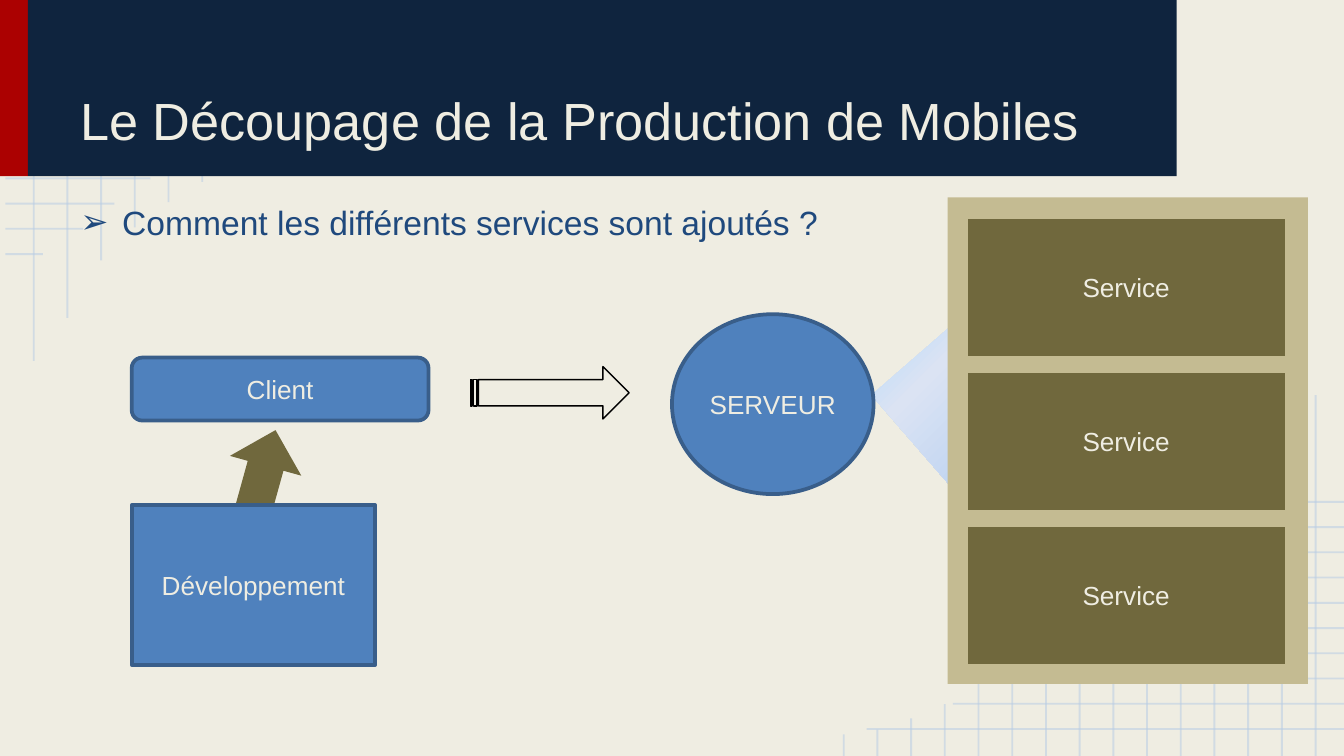
from dataclasses import dataclass

from lxml.etree import SubElement
from pptx import Presentation
from pptx.dml.color import RGBColor
from pptx.enum.shapes import MSO_CONNECTOR, MSO_SHAPE
from pptx.enum.text import MSO_ANCHOR, MSO_AUTO_SIZE, PP_ALIGN
from pptx.oxml.ns import qn
from pptx.util import Cm, Pt


@dataclass(frozen=True)
class Theme:
    """Colours, font and type sizes of the slide."""
    font: str = "Arial"
    title_size: float = 28
    body_size: float = 18
    label_size: float = 14
    cream: str = "EFEDE2"
    navy: str = "0F243E"
    red: str = "AB0101"
    ink: str = "1F497D"
    blue: str = "4F81BD"
    blue_edge: str = "395E8A"
    sand: str = "C4BB92"
    olive: str = "70683D"
    grid: str = "B7CCE4"
    black: str = "000000"
    beam: tuple = ((0, "AECCF1"), (67, "DBE3F3"), (79, "CEE0F6"), (100, "E7F1FA"))


THEME = Theme()
WIDTH, HEIGHT = 25.4, 14.29
BANNER_HEIGHT = 3.33
GRID_EDGE = 0.1
COLUMN_REACHES = (6.82, 6.01, 4.92, 4.3, 3.82, 3.44, 2.93, 2.55,
                  2.13, 1.84, 1.42, 0.98, 0.71, 0.5, 0.41)
ROW_REACHES = (9.12, 7.49, 6.12, 5.26, 4.24, 3.48, 2.84, 2.16, 1.57, 0.81)


def colour(value):
    """Turn a hexadecimal string into a colour."""
    return RGBColor.from_string(value)


def write_text(frame, text, size=THEME.label_size, color=THEME.cream,
               align=PP_ALIGN.CENTER, anchor=MSO_ANCHOR.MIDDLE,
               insets=(0.25, 0.13), bullet=None, indent=0.79):
    """Write one formatted paragraph into a text frame."""
    frame.word_wrap = True
    frame.auto_size = MSO_AUTO_SIZE.NONE
    frame.vertical_anchor = anchor
    frame.margin_left = frame.margin_right = Cm(insets[0])
    frame.margin_top = frame.margin_bottom = Cm(insets[1])
    frame.text = text
    paragraph = frame.paragraphs[0]
    paragraph.alignment = align
    paragraph.space_before = Pt(0)
    if bullet:
        add_bullet(paragraph, bullet, color, indent)
    font = paragraph.runs[0].font
    font.name = THEME.font
    font.size = Pt(size)
    font.color.rgb = colour(color)


def add_bullet(paragraph, character, color, indent):
    """Give a paragraph a coloured bullet and a hanging indent."""
    properties = paragraph._p.get_or_add_pPr()
    properties.set("marL", str(Cm(indent)))
    properties.set("indent", str(-Cm(indent)))
    bullet_color = SubElement(properties, qn("a:buClr"))
    SubElement(bullet_color, qn("a:srgbClr"), val=color)
    SubElement(properties, qn("a:buFont"), typeface=THEME.font)
    SubElement(properties, qn("a:buChar"), char=character)


def add_figure(slide, kind, box, fill, edge=None, edge_width=2, rotation=0,
               text=None, **text_format):
    """Add a preset shape with its fill, outline and label."""
    shape = slide.shapes.add_shape(kind, *map(Cm, box))
    shape.shadow.inherit = False
    shape.rotation = rotation
    shape.fill.solid()
    shape.fill.fore_color.rgb = colour(fill)
    if edge:
        shape.line.color.rgb = colour(edge)
        shape.line.width = Pt(edge_width)
    else:
        shape.line.fill.background()
    if text:
        write_text(shape.text_frame, text, **text_format)
    return shape


def add_beam(slide):
    """Add the triangle of light that joins the server to its services."""
    shape = add_figure(slide, MSO_SHAPE.RIGHT_TRIANGLE, (16.89, 6.55, 2.41, 2.21),
                       THEME.beam[0][1], rotation=49)
    properties = shape._element.spPr
    gradient = SubElement(properties, qn("a:gradFill"), rotWithShape="1")
    stops = SubElement(gradient, qn("a:gsLst"))
    for position, value in THEME.beam:
        stop = SubElement(stops, qn("a:gs"), pos=str(position * 1000))
        SubElement(stop, qn("a:srgbClr"), val=value)
    circle = SubElement(gradient, qn("a:path"))
    circle.set("path", "circle")
    SubElement(circle, qn("a:fillToRect"), l="100000", t="100000")
    properties.replace(properties.find(qn("a:solidFill")), gradient)


def add_grid_line(slide, start, end):
    """Add one translucent line of the background grid."""
    line = slide.shapes.add_connector(MSO_CONNECTOR.STRAIGHT, *map(Cm, start + end))
    line.line.color.rgb = colour(THEME.grid)
    line.line.width = Pt(1)
    properties = line._element.spPr
    value = properties.find(".//" + qn("a:srgbClr"))
    SubElement(value, qn("a:alpha"), val="53000")
    SubElement(properties, qn("a:effectLst"))


def add_grids(slide):
    """Add the top grid below the banner and its half-turn at the bottom."""
    rows = [((GRID_EDGE, 0.51 + 0.477 * index), (reach, 0.51 + 0.477 * index))
            for index, reach in enumerate(ROW_REACHES)]
    columns = [((0.637 * index, reach), (0.637 * index, 0))
               for index, reach in enumerate(COLUMN_REACHES, 1)]
    for start, end in rows + columns:
        if start[1] > BANNER_HEIGHT:
            add_grid_line(slide, start, end)
        add_grid_line(slide, *((WIDTH + GRID_EDGE - x, HEIGHT - y)
                               for x, y in (start, end)))


def add_banner(slide):
    """Add the red and navy bands behind the title."""
    add_figure(slide, MSO_SHAPE.RECTANGLE, (0, 0, 0.53, BANNER_HEIGHT), THEME.red)
    add_figure(slide, MSO_SHAPE.RECTANGLE, (0.53, 0, 21.71, BANNER_HEIGHT), THEME.navy)


def fill_placeholder(slide, placeholder, box, text, **text_format):
    """Place a placeholder above the decoration and fill it."""
    placeholder.left, placeholder.top, placeholder.width, placeholder.height = map(Cm, box)
    slide.shapes._spTree.append(placeholder._element)
    write_text(placeholder.text_frame, text, align=PP_ALIGN.LEFT,
               insets=(0.25, 0.25), **text_format)


def add_services(slide, count=3):
    """Add the panel and its column of services."""
    add_figure(slide, MSO_SHAPE.RECTANGLE, (17.91, 3.73, 6.81, 9.2), THEME.sand)
    for index in range(count):
        add_figure(slide, MSO_SHAPE.FLOWCHART_PREDEFINED_PROCESS,
                   (18.29, 4.14 + 2.91 * index, 5.99, 2.59), THEME.olive, text="Service")


def main():
    """Build the slide and save it."""
    presentation = Presentation()
    presentation.slide_width, presentation.slide_height = Cm(WIDTH), Cm(HEIGHT)
    slide = presentation.slides.add_slide(presentation.slide_layouts[1])
    slide.background.fill.solid()
    slide.background.fill.fore_color.rgb = colour(THEME.cream)
    title, body = slide.placeholders

    add_grids(slide)
    add_banner(slide)
    add_beam(slide)
    fill_placeholder(slide, title, (1.27, 0.28, 20.32, 2.82),
                     "Le Découpage de la Production de Mobiles",
                     size=THEME.title_size, anchor=MSO_ANCHOR.BOTTOM)
    fill_placeholder(slide, body, (1.27, 3.56, 22.86, 10.08),
                     "Comment les différents services sont ajoutés ?",
                     size=THEME.body_size, color=THEME.ink,
                     anchor=MSO_ANCHOR.TOP, bullet="➢")
    add_figure(slide, MSO_SHAPE.ROUNDED_RECTANGLE, (2.49, 6.76, 5.61, 1.19),
               THEME.blue, THEME.blue_edge, text="Client")
    add_figure(slide, MSO_SHAPE.STRIPED_RIGHT_ARROW, (8.89, 6.93, 3, 0.99),
               THEME.cream, THEME.black, edge_width=0.75)
    add_figure(slide, MSO_SHAPE.OVAL, (12.7, 5.94, 3.81, 3.4),
               THEME.blue, THEME.blue_edge, text="SERVEUR", insets=(0, 0))
    add_services(slide)
    add_figure(slide, MSO_SHAPE.UP_ARROW, (4.29, 8.1, 1.4, 1.63),
               THEME.olive, rotation=15.5)
    add_figure(slide, MSO_SHAPE.RECTANGLE, (2.49, 9.55, 4.6, 3.02),
               THEME.blue, THEME.blue_edge, text="Développement")
    presentation.save("out.pptx")


if __name__ == "__main__":
    main()
